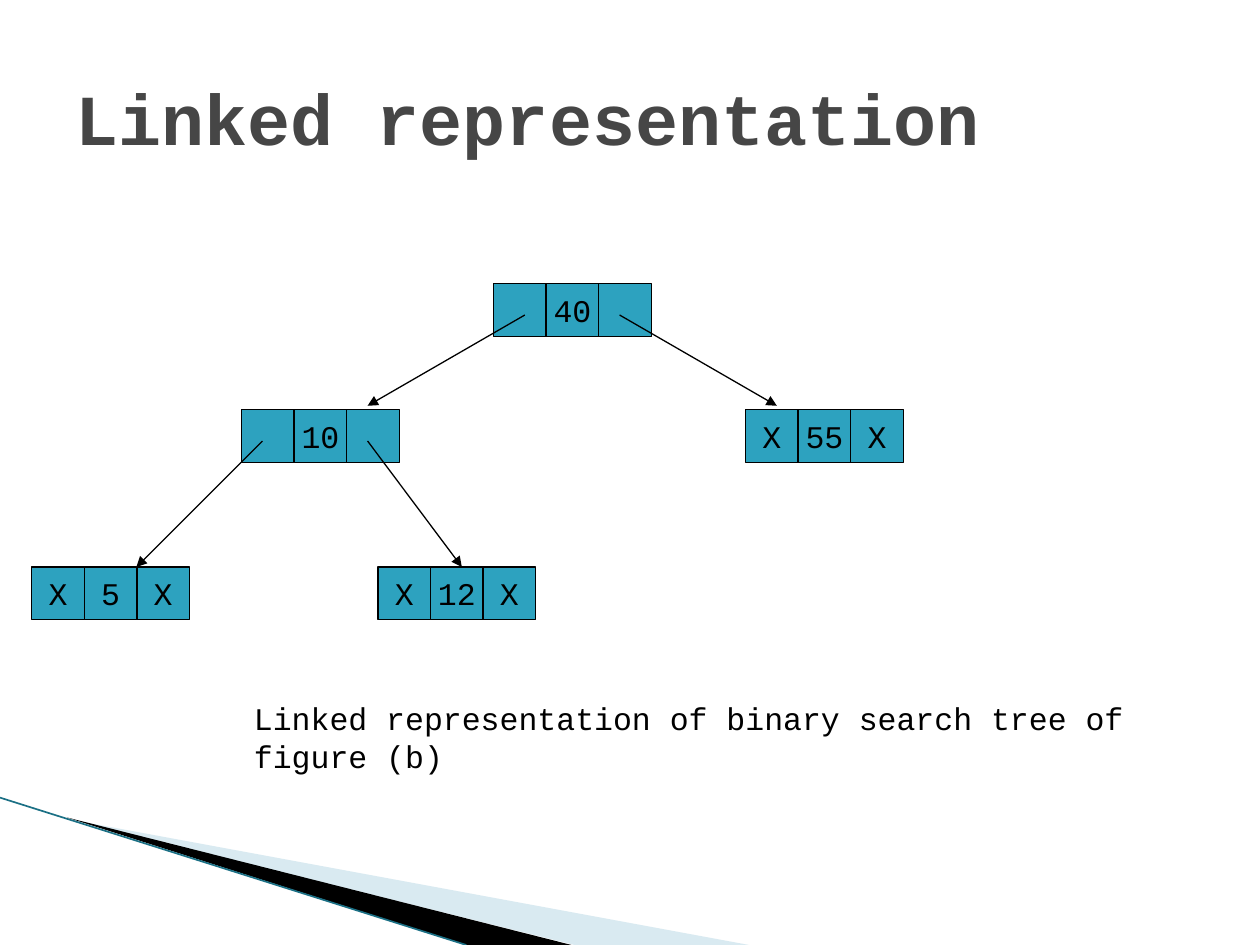
from lxml import etree
from pptx import Presentation
from pptx import util as u
from pptx.dml.color import RGBColor
from pptx.enum import shapes, text
from pptx.oxml import ns

BLACK = RGBColor(0x00, 0x00, 0x00)
TITLE_GRAY = RGBColor(0x46, 0x46, 0x46)
NODE_TEAL = RGBColor(0x2D, 0xA2, 0xBF)
PALE_BLUE = RGBColor(0xA0, 0xCB, 0xDC)
EDGE_TEAL = RGBColor(0x1B, 0x70, 0x85)

CELL = 1.06
NODES = [
    (9.95, 5.72, ("", "40", "")),
    (15.03, 8.26, ("X", "55", "X")),
    (4.87, 8.26, ("", "10", "")),
    (0.64, 11.43, ("X", "5", "X")),
    (7.62, 11.43, ("X", "12", "X")),
]
LINKS = [
    ((10.58, 6.35), (7.41, 8.18)),
    ((12.49, 6.35), (15.66, 8.18)),
    ((5.29, 8.89), (2.75, 11.43)),
    ((7.41, 8.89), (9.31, 11.43)),
]


class TreeSlide:
    font_name = "Courier New"
    body_size = u.Pt(18)
    line_width = u.Pt(0.75)

    def __init__(self, presentation):
        self.slide = presentation.slides.add_slide(presentation.slide_layouts[5])

    def style(self, paragraph, size, color, bold=False):
        font = paragraph.font
        font.name, font.size, font.bold = self.font_name, size, bold
        font.color.rgb = color

    def title(self, words, left, top, width, height):
        shape = self.slide.shapes.title
        shape.left, shape.top = u.Cm(left), u.Cm(top)
        shape.width, shape.height = u.Cm(width), u.Cm(height)
        frame = shape.text_frame
        frame.text = words
        frame.vertical_anchor = text.MSO_ANCHOR.MIDDLE
        paragraph = frame.paragraphs[0]
        paragraph.alignment = text.PP_ALIGN.LEFT
        self.style(paragraph, u.Pt(41), TITLE_GRAY, bold=True)

    def wedge(self, points, color, opacity=100):
        corners = [(u.Cm(x), u.Cm(y)) for x, y in points]
        builder = self.slide.shapes.build_freeform(*corners[0])
        builder.add_line_segments(corners[1:], close=True)
        shape = builder.convert_to_shape()
        shape.shadow.inherit = False
        shape.fill.solid()
        shape.fill.fore_color.rgb = color
        shape.line.fill.background()
        if opacity < 100:
            fill_color = shape.element.spPr.find(".//" + ns.qn("a:srgbClr"))
            alpha = etree.SubElement(fill_color, ns.qn("a:alpha"))
            alpha.set("val", str(opacity * 1000))

    def line(self, start, end, color, width, arrow=False):
        connector = self.slide.shapes.add_connector(
            shapes.MSO_CONNECTOR.STRAIGHT, *(u.Cm(value) for value in start + end))
        connector.line.color.rgb = color
        connector.line.width = width
        if arrow:
            tail = etree.SubElement(connector.line._get_or_add_ln(), ns.qn("a:tailEnd"))
            tail.set("type", "triangle")
        etree.SubElement(connector.element.spPr, ns.qn("a:effectLst"))

    def cell(self, left, top, label):
        shape = self.slide.shapes.add_shape(
            shapes.MSO_SHAPE.RECTANGLE, u.Cm(left), u.Cm(top), u.Cm(CELL), u.Cm(CELL))
        shape.shadow.inherit = False
        shape.fill.solid()
        shape.fill.fore_color.rgb = NODE_TEAL
        shape.line.color.rgb = BLACK
        shape.line.width = self.line_width
        if label:
            frame = shape.text_frame
            frame.text = label
            frame.word_wrap = False
            frame.vertical_anchor = text.MSO_ANCHOR.MIDDLE
            paragraph = frame.paragraphs[0]
            paragraph.alignment = text.PP_ALIGN.CENTER
            self.style(paragraph, self.body_size, BLACK)

    def node(self, left, top, labels):
        for column, label in enumerate(labels):
            self.cell(left + column * CELL, top, label)

    def caption(self, words, left, top, width, height):
        box = self.slide.shapes.add_textbox(u.Cm(left), u.Cm(top), u.Cm(width), u.Cm(height))
        frame = box.text_frame
        frame.text = words
        frame.word_wrap = True
        self.style(frame.paragraphs[0], self.body_size, BLACK)


def main():
    presentation = Presentation()
    presentation.slide_width, presentation.slide_height = u.Cm(25.4), u.Cm(19.05)
    tree = TreeSlide(presentation)
    tree.wedge([(1.4, 16.52), (15.1, 19.05), (11.58, 19.05)], PALE_BLUE, opacity=40)
    tree.wedge([(1.35, 16.48), (11.52, 19.05), (9.4, 19.05)], BLACK)
    tree.line((0, 16.08), (9.4, 19.05), EDGE_TEAL, u.Pt(0.95))
    tree.title("Linked representation", 1.27, 0.76, 22.86, 3.18)
    for left, top, labels in NODES:
        tree.node(left, top, labels)
    for start, end in LINKS:
        tree.line(start, end, BLACK, tree.line_width, arrow=True)
    tree.caption("Linked representation of binary search tree of figure (b)",
                 4.87, 13.97, 18.21, 1.78)
    presentation.save("out.pptx")


if __name__ == "__main__":
    main()
